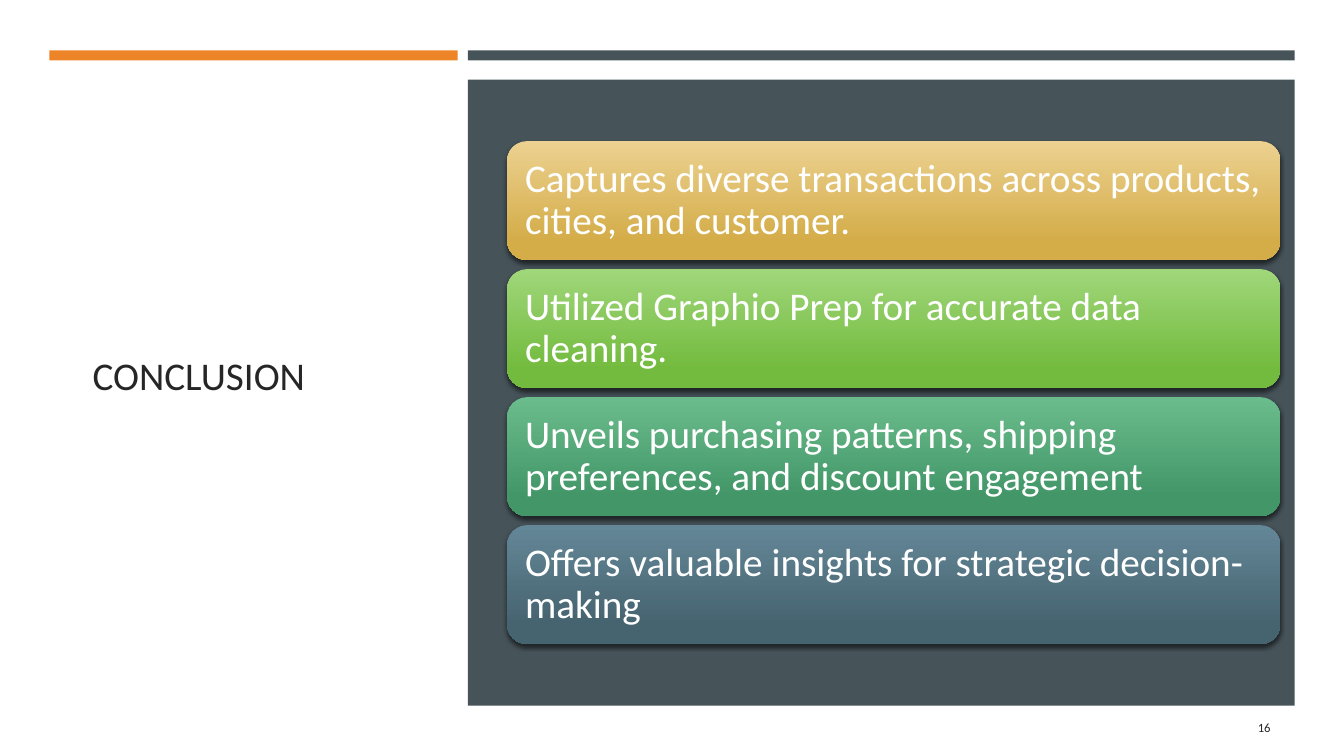
from dataclasses import dataclass

from lxml.etree import SubElement
from pptx import Presentation
from pptx.dml.color import RGBColor as Rgb
from pptx.enum.shapes import MSO_SHAPE as Shape
from pptx.enum.text import MSO_ANCHOR as Anchor, PP_ALIGN as Align
from pptx.oxml.ns import qn
from pptx.util import Inches, Pt


@dataclass(frozen=True)
class Theme:
    font: str = "Calibri"
    white: str = "FFFFFF"
    ink: str = "262626"
    slate: str = "465359"
    orange: str = "ED8428"
    large: int = 28
    small: int = 9


THEME = Theme()

# Text, top colour and bottom colour of each card
CARDS = [
    ("Captures diverse transactions across products, cities, and customer.",
     "ECD190", "D4AD49"),
    ("Utilized Graphio Prep for accurate data cleaning.",
     "A0D77A", "73BB3F"),
    ("Unveils purchasing patterns, shipping preferences, and discount engagement",
     "6ABC8D", "439667"),
    ("Offers valuable insights for strategic decision-making",
     "648797", "466370"),
]
CARD_TOP, CARD_STEP = 1.4, 1.27


def write(frame, text, size, color, align=Align.LEFT):
    frame.word_wrap = True
    frame.vertical_anchor = Anchor.MIDDLE
    para = frame.paragraphs[0]
    para.text = text
    para.alignment = align
    para.font.name = THEME.font
    para.font.size = Pt(size)
    para.font.color.rgb = Rgb.from_string(color)
    return para


def add_text(slide, box, text, size, align=Align.LEFT):
    label = slide.shapes.add_textbox(*map(Inches, box))
    write(label.text_frame, text, size, THEME.ink, align)


def add_plain(slide, kind, box):
    """Add a shape with no line and no shadow."""
    shape = slide.shapes.add_shape(kind, *map(Inches, box))
    shape.shadow.inherit = False
    shape.line.fill.background()
    return shape


def add_block(slide, box, color):
    block = add_plain(slide, Shape.RECTANGLE, box)
    block.fill.solid()
    block.fill.fore_color.rgb = Rgb.from_string(color)


def shade(shape, light, dark):
    """Fill from light at the top to dark near the bottom."""
    shape.fill.gradient()
    shape.fill.gradient_angle = 270
    stops = zip(shape.fill.gradient_stops, (light, dark), (0, 0.84))
    for stop, color, place in stops:
        stop.color.rgb = Rgb.from_string(color)
        stop.position = place


def drop_shadow(shape):
    effects = shape._element.spPr.find(qn("a:effectLst"))
    outer = SubElement(effects, qn("a:outerShdw"), blurRad=str(Pt(3)),
                       dist=str(Pt(2)), dir="5400000", rotWithShape="0")
    color = SubElement(outer, qn("a:srgbClr"), val="000000")
    SubElement(color, qn("a:alpha"), val="55000")


def add_card(slide, top, text, light, dark):
    card = add_plain(slide, Shape.ROUNDED_RECTANGLE, (5.03, top, 7.67, 1.18))
    shade(card, light, dark)
    drop_shadow(card)
    frame = card.text_frame
    frame.margin_left = frame.margin_right = Inches(0.12)
    frame.margin_top = frame.margin_bottom = Inches(0.12)
    write(frame, text, THEME.large, THEME.white).line_spacing = 0.9


def main():
    deck = Presentation()
    deck.slide_width, deck.slide_height = Inches(13.33), Inches(7.5)
    slide = deck.slides.add_slide(deck.slide_layouts[6])
    back = slide.background.fill
    back.solid()
    back.fore_color.rgb = Rgb.from_string(THEME.white)

    add_text(slide, (0.82, 1.14, 3.34, 5.15), "CONCLUSION", THEME.large)
    add_block(slide, (0.49, 0.5, 4.05, 0.1), THEME.orange)
    add_block(slide, (4.64, 0.5, 8.2, 0.1), THEME.slate)
    add_block(slide, (4.64, 0.79, 8.2, 6.21), THEME.slate)
    add_text(slide, (11.55, 7.02, 1.15, 0.4), "16", THEME.small, Align.RIGHT)
    for row, card in enumerate(CARDS):
        add_card(slide, CARD_TOP + row * CARD_STEP, *card)
    deck.save("out.pptx")


if __name__ == "__main__":
    main()
